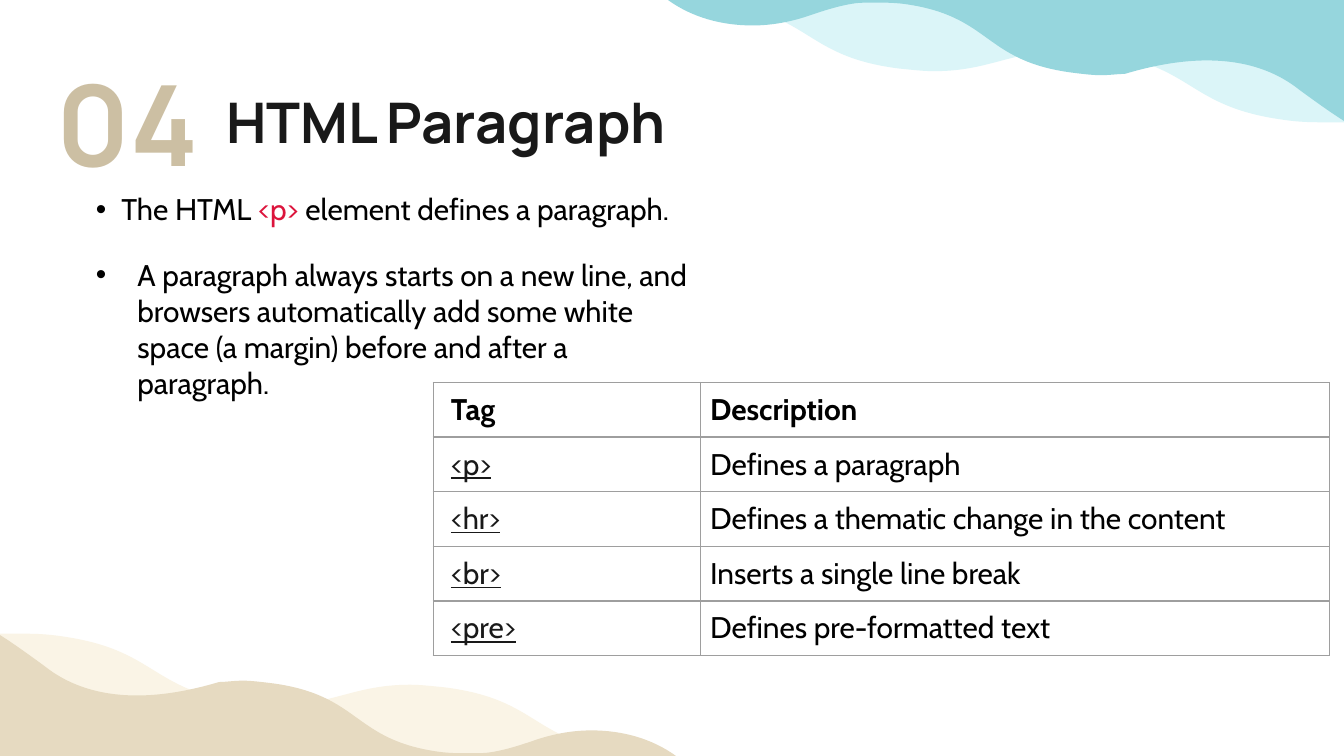
from dataclasses import dataclass

from lxml.etree import SubElement
from pptx import Presentation
from pptx.dml.color import RGBColor
from pptx.enum.text import MSO_ANCHOR, MSO_AUTO_SIZE, PP_ALIGN
from pptx.oxml.ns import qn
from pptx.util import Inches, Pt

BLACK = RGBColor(0x00, 0x00, 0x00)
INK = RGBColor(0x19, 0x19, 0x19)
CRIMSON = RGBColor(0xDC, 0x14, 0x3C)
TAN = RGBColor(0xCC, 0xBF, 0xA3)
AQUA = RGBColor(0x96, 0xD6, 0xDD)
PALE_AQUA = RGBColor(0xDB, 0xF5, 0xF8)
SAND = RGBColor(0xE6, 0xDA, 0xC1)
PALE_SAND = RGBColor(0xFA, 0xF4, 0xE6)
BORDER = RGBColor(0x9E, 0x9E, 0x9E)
HEADING_FONT, BODY_FONT = "Manrope", "Cabin"

UNIT = Inches(0.1)  # one column or row of the page grid

# Corner points, then cubic curves (two controls and an end), in grid units.
BACK_WAVE = ([(50, -9), (100, -9), (100, 9.1)], [
    (99.6, 9.1, 99.1, 9.1, 98.6, 9.1), (97.7, 9.1, 96.7, 9.1, 95.4, 8.9),
    (88.3, 7.9, 88.9, 4.9, 81.8, 3.9), (80.9, 3.8, 80, 3.8, 79.2, 3.8),
    (75.2, 3.8, 73.6, 5.3, 69.5, 5.3), (68.7, 5.3, 67.9, 5.2, 66.9, 5.1),
    (59.8, 4.2, 60.5, 1.1, 53.3, 0.2), (52.6, 0.1, 51.8, 0, 51.2, 0),
    (50.8, 0, 50.4, 0, 50, 0.1)])
FRONT_WAVE = ([(100, 0), (100, 9)], [
    (98.9, 8.3, 97.8, 7.5, 96.7, 6.7), (94.7, 5.1, 92.3, 4.5, 89.8, 4.5),
    (87.8, 4.5, 85.7, 4.9, 83.7, 5.5), (83.2, 5.5, 82.6, 5.6, 81.9, 5.6),
    (81.3, 5.6, 80.5, 5.5, 79.7, 5.4), (73.1, 4.5, 73.8, 1.2, 67.3, 0.3),
    (66.5, 0.2, 65.8, 0.2, 65.1, 0.2), (64.4, 0.2, 63.8, 0.2, 63.3, 0.3),
    (62.2, 0.5, 61.3, 0.8, 60.4, 1.1), (59, 1.6, 57.5, 1.9, 56, 1.9),
    (53.7, 1.9, 51.5, 1.3, 49.7, 0)])


@dataclass
class Box:
    """An area of the page, in grid units."""
    left: float
    top: float
    width: float
    height: float

    def place(self):
        """Return the position and size as lengths."""
        return [round(n * UNIT) for n in (self.left, self.top, self.width, self.height)]


def bend_segments(shape, controls):
    """Turn the last straight segments of a freeform into cubic curves."""
    segments = list(shape._element.iter(qn("a:lnTo")))[-len(controls):]
    for segment, pair in zip(segments, controls):
        segment.tag = qn("a:cubicBezTo")
        for index, (x, y) in enumerate(pair):
            point = SubElement(segment, qn("a:pt"), x=str(x - shape.left), y=str(y - shape.top))
            segment.insert(index, point)


def add_wave(page, box, wave, color, turned=False):
    """Draw a wave in the box's top right corner, or turned to the bottom left."""
    def locate(x, y):
        if turned:
            x, y = box.width - x, box.height - y
        return round((box.left + x) * UNIT), round((box.top + y) * UNIT)

    corners, curves = wave
    points = [locate(*point) for point in corners + [curve[4:] for curve in curves]]
    builder = page.shapes.build_freeform(*points[0])
    builder.add_line_segments(points[1:], close=True)
    shape = builder.convert_to_shape()
    bend_segments(shape, [(locate(*curve[:2]), locate(*curve[2:4])) for curve in curves])
    shape.shadow.inherit = False
    shape.fill.solid()
    shape.fill.fore_color.rgb = color
    shape.line.fill.background()


def add_span(para, text, size, color, font=BODY_FONT, bold=False, underline=False):
    """Add one formatted run."""
    span = para.add_run()
    span.text = text
    span.font.size, span.font.name = Pt(size), font
    span.font.bold, span.font.underline = bold, underline
    span.font.color.rgb = color


def set_heading(shape, box, text, size, color, align):
    """Place and fill a heading shape."""
    shape.left, shape.top, shape.width, shape.height = box.place()
    frame = shape.text_frame
    frame.word_wrap = True
    frame.auto_size = MSO_AUTO_SIZE.NONE
    frame.vertical_anchor = MSO_ANCHOR.MIDDLE
    frame.margin_left = frame.margin_right = UNIT
    frame.margin_top = frame.margin_bottom = UNIT
    para = frame.paragraphs[0]
    para.alignment = align
    add_span(para, text, size, color, HEADING_FONT, bold=True)


def add_bullet(page, box, spans, indent, anchor):
    """Add a bulleted paragraph made of (text, color) spans."""
    frame = page.shapes.add_textbox(*box.place()).text_frame
    frame.word_wrap = True
    frame.auto_size = MSO_AUTO_SIZE.SHAPE_TO_FIT_TEXT
    frame.vertical_anchor = anchor
    para = frame.paragraphs[0]
    for text, color in spans:
        add_span(para, text, 16, color)
    props = para._p.get_or_add_pPr()
    length = round(indent * UNIT)
    props.set("marL", str(length))
    props.set("indent", str(-length))
    SubElement(SubElement(props, qn("a:buClr")), qn("a:srgbClr"), val=str(BLACK))
    SubElement(props, qn("a:buFont"), typeface="Arial")
    SubElement(props, qn("a:buChar"), char="•")


def format_cell(cell, text, is_header, is_tag):
    """Fill one table cell and draw its borders."""
    cell.margin_left = Inches(0.13 if is_tag else 0.07)
    cell.margin_right = cell.margin_top = cell.margin_bottom = Inches(0.07)
    is_link = is_tag and not is_header
    cell.vertical_anchor = MSO_ANCHOR.MIDDLE if is_link else MSO_ANCHOR.TOP
    add_span(cell.text_frame.paragraphs[0], text, 16, INK if is_link else BLACK,
             bold=is_header, underline=is_link)
    props = cell._tc.get_or_add_tcPr()
    for side in ("lnL", "lnR", "lnT", "lnB"):
        line = SubElement(props, qn(f"a:{side}"), w=str(Pt(0.75)))
        SubElement(SubElement(line, qn("a:solidFill")), qn("a:srgbClr"), val=str(BORDER))
    cell.fill.background()


def add_tag_table(page, box, rows, tag_width):
    """Add the table of tags; the first row is the header."""
    table = page.shapes.add_table(len(rows), 2, *box.place()).table
    table.horz_banding = False
    for column, width in zip(table.columns, (tag_width, box.width - tag_width)):
        column.width = round(width * UNIT)
    for r, texts in enumerate(rows):
        for c, text in enumerate(texts):
            format_cell(table.cell(r, c), text, r == 0, c == 0)


def build_page(deck):
    """Build the HTML paragraph page."""
    page = deck.slides.add_slide(deck.slide_layouts.get_by_name("Title Only"))
    whole = Box(0, 0, 100, 56.25)
    add_wave(page, whole, BACK_WAVE, PALE_AQUA)
    add_wave(page, whole, FRONT_WAVE, AQUA)
    add_wave(page, whole, BACK_WAVE, PALE_SAND, turned=True)
    add_wave(page, whole, FRONT_WAVE, SAND, turned=True)

    set_heading(page.shapes.title, Box(15.84, 6.9, 36, 4.2), "HTML Paragraph", 30, INK,
                PP_ALIGN.LEFT)
    number_box = Box(3.14, 5.7, 12.7, 6.7)
    set_heading(page.shapes.add_textbox(*number_box.place()), number_box, "04", 60, TAN,
                PP_ALIGN.CENTER)

    add_bullet(page, Box(6.14, 13.7, 52.2, 3.7),
               [("The HTML\u00a0", BLACK), ("<p>", CRIMSON),
                ("\u00a0element defines a paragraph. ", BLACK)], 1.9, MSO_ANCHOR.MIDDLE)
    add_bullet(page, Box(6.14, 18.62, 47.2, 11.8),
               [("A paragraph always starts on a new line, and browsers automatically add "
                 "some white space (a margin) before and after a paragraph.", BLACK)],
               3.1, MSO_ANCHOR.TOP)

    add_tag_table(page, Box(32.24, 28.46, 66.66, 20.3), [
        ("Tag", "Description"),
        ("<p>", "Defines a paragraph"),
        ("<hr>", "Defines a thematic change in the content"),
        ("<br>", "Inserts a single line break"),
        ("<pre>", "Defines pre-formatted text")], 19.9)


deck = Presentation()
deck.slide_width, deck.slide_height = Inches(10), round(56.25 * UNIT)
build_page(deck)
deck.save("out.pptx")
